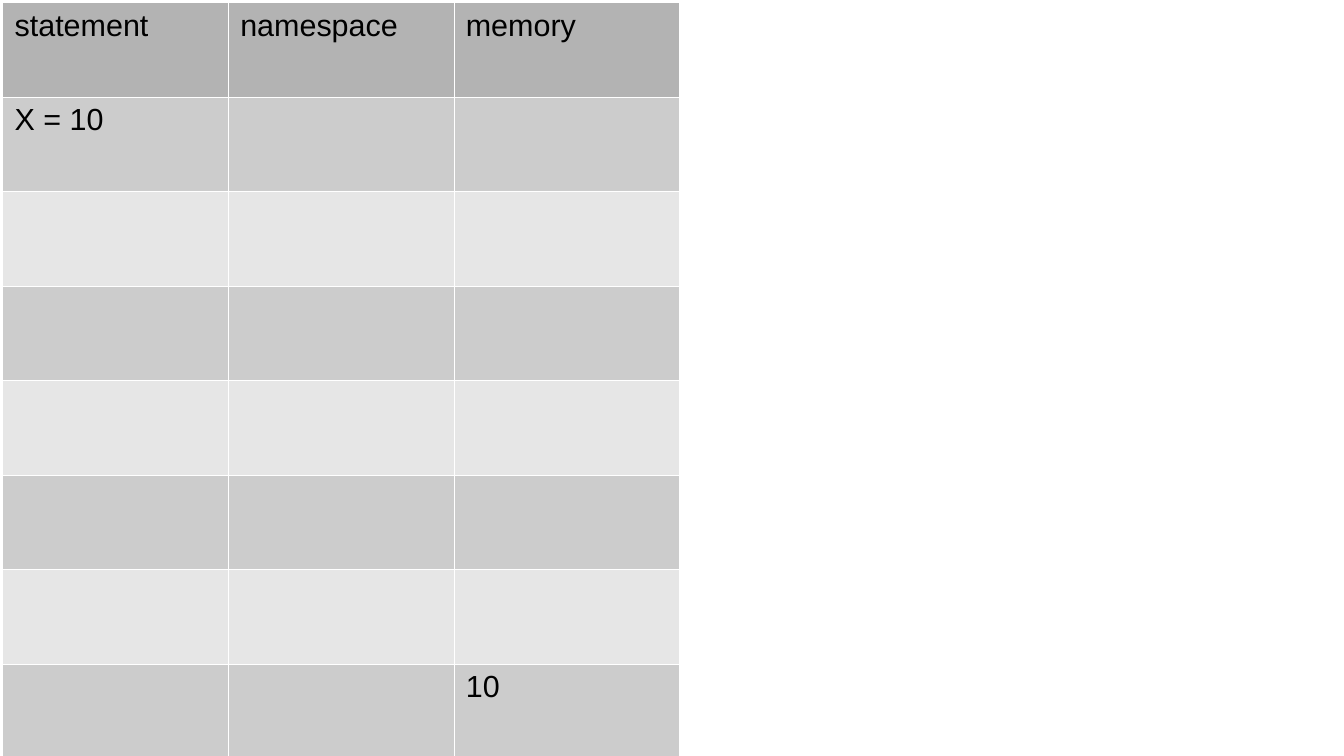
from pptx import Presentation
from pptx.dml.color import RGBColor as Rgb
from pptx.oxml.ns import qn
from pptx.util import Inches, Pt
from lxml.etree import SubElement

COLORS = {"header": "B3B3B3", "odd": "CCCCCC", "even": "E6E6E6",
          "border": "FFFFFF", "text": "000000"}
SLIDE_WIDTH, SLIDE_HEIGHT = 11.02, 6.2
ROWS, COLUMNS = 8, 3
MEMORY_TABLE_BOX = (0.02, 0.02, 5.55, SLIDE_HEIGHT)
MEMORY_TEXTS = {
    (0, 0): "statement", (0, 1): "namespace", (0, 2): "memory",
    (1, 0): "X = 10",
    (7, 2): "10",
}


def add_borders(cell):
    properties = cell._tc.get_or_add_tcPr()
    for side in ("lnL", "lnR", "lnT", "lnB"):
        line = SubElement(properties, qn(f"a:{side}"), w=str(Pt(0.06)))
        fill = SubElement(line, qn("a:solidFill"))
        SubElement(fill, qn("a:srgbClr"), val=COLORS["border"])


def band_color(row):
    if row == 0:
        return COLORS["header"]
    return COLORS["odd" if row % 2 else "even"]


def write_cell(cell, text):
    span = cell.text_frame.paragraphs[0].add_run()
    span.text = text
    span.font.name = "Arial"
    span.font.size = Pt(18)
    span.font.bold = False
    span.font.color.rgb = Rgb.from_string(COLORS["text"])


def add_memory_table(page, box, texts):
    left, top, width, height = map(Inches, box)
    table = page.shapes.add_table(ROWS, COLUMNS, left, top, width, height).table
    for column in table.columns:
        column.width = width // COLUMNS
    for row_index, row in enumerate(table.rows):
        row.height = height // ROWS
        for column_index, cell in enumerate(row.cells):
            add_borders(cell)
            cell.fill.solid()
            cell.fill.fore_color.rgb = Rgb.from_string(band_color(row_index))
            text = texts.get((row_index, column_index))
            if text:
                write_cell(cell, text)


def main():
    deck = Presentation()
    deck.slide_width, deck.slide_height = Inches(SLIDE_WIDTH), Inches(SLIDE_HEIGHT)
    page = deck.slides.add_slide(deck.slide_layouts[6])
    add_memory_table(page, MEMORY_TABLE_BOX, MEMORY_TEXTS)
    deck.save("out.pptx")


if __name__ == "__main__":
    main()
